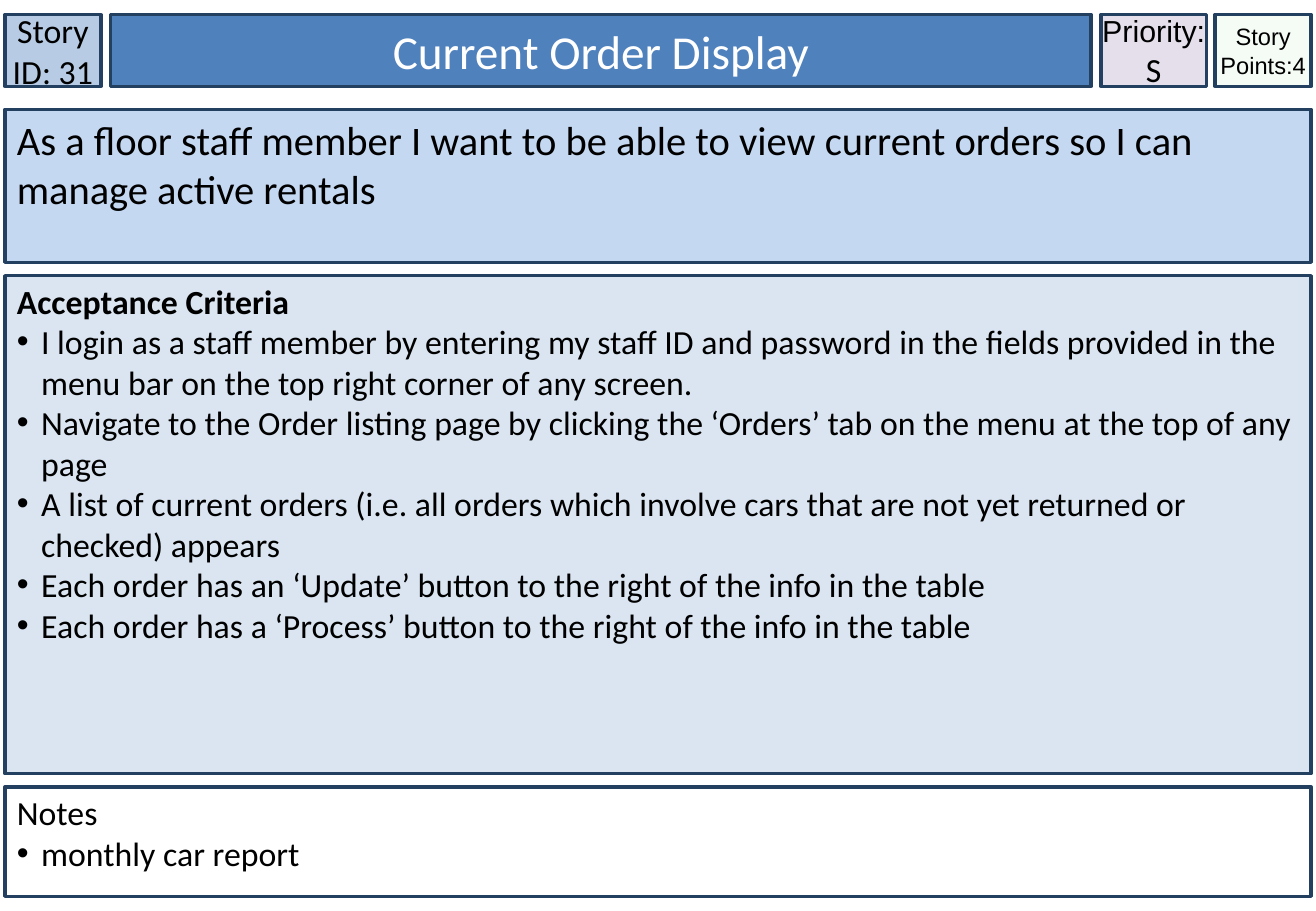
from lxml.etree import SubElement
from pptx import Presentation
from pptx.dml.color import RGBColor
from pptx.enum.shapes import MSO_SHAPE
from pptx.enum.text import MSO_ANCHOR, PP_ALIGN
from pptx.oxml.ns import qn
from pptx.util import Emu, Inches, Pt

THEME = {
    "border": "244061", "text": "000000", "title_text": "FFFFFF",
    "id": "B7CCE4", "title": "4F81BD", "priority": "E5DFEC", "points": "CCF0CD",
    "story": "C5D8F1", "criteria": "DAE5F1", "notes": "FFFFFF",
    "title_size": 28, "story_size": 24, "body_size": 20,
    "label_size": 18, "points_size": 14, "border_width": 2,
    "body_font": "Calibri", "label_font": "Arial",
}
WIDTH, HEIGHT = 10.83, 7.5
MARGIN = 0.04
FULL_WIDTH = WIDTH - 2 * MARGIN
HEADER_TOP, HEADER_HEIGHT = 0.12, 0.59
BULLET_INDENT = Inches(0.2)


def add_panel(left, top, width, height, fill, insets, anchor=MSO_ANCHOR.TOP):
    """Add a bordered rectangle; insets are its side and top text margins."""
    shape = slide.shapes.add_shape(
        MSO_SHAPE.RECTANGLE, Inches(left), Inches(top), Inches(width), Inches(height))
    shape.shadow.inherit = False
    shape.fill.solid()
    shape.fill.fore_color.rgb = RGBColor.from_string(THEME[fill])
    shape.line.color.rgb = RGBColor.from_string(THEME["border"])
    shape.line.width = Pt(THEME["border_width"])
    frame = shape.text_frame
    frame.word_wrap = True
    frame.vertical_anchor = anchor
    frame.margin_left = frame.margin_right = Inches(insets[0])
    frame.margin_top, frame.margin_bottom = Inches(insets[1]), Inches(0.05)
    return shape


def add_run(paragraph, text, size, font="body_font", color="text", bold=False):
    run = paragraph.add_run()
    run.text = text
    run.font.name = THEME[font]
    run.font.size = Pt(THEME[size])
    run.font.bold = bold
    run.font.color.rgb = RGBColor.from_string(THEME[color])


presentation = Presentation()
presentation.slide_width, presentation.slide_height = Inches(WIDTH), Inches(HEIGHT)
slide = presentation.slides.add_slide(presentation.slide_layouts[6])

# Header row: left, width, fill, side inset, runs
header_cells = [
    (MARGIN, 0.79, "id", 0, [("Story ID: 31", "body_size")]),
    (0.91, 8.07, "title", 0.1,
     [("Current Order Display", "title_size", "body_font", "title_text")]),
    (10, 0.79, "points", 0, [("Story Points:4", "points_size", "label_font")]),
    (9.06, 0.87, "priority", 0,
     [("Priority:", "label_size", "label_font"), ("S", "body_size")]),
]
for left, width, fill, side_inset, runs in header_cells:
    shape = add_panel(left, HEADER_TOP, width, HEADER_HEIGHT, fill,
                      (side_inset, 0.05), MSO_ANCHOR.MIDDLE)
    paragraph = shape.text_frame.paragraphs[0]
    paragraph.alignment = PP_ALIGN.CENTER
    for run in runs:
        add_run(paragraph, *run)
    if fill == "points":
        color = shape.fill._xPr.find(qn("a:solidFill"))[0]
        SubElement(color, qn("a:alpha"), val="20000")

# Full-width panels: top, height, fill, top inset, size, bold heading, heading, bullets
panels = [
    (0.9, 1.26, "story", 0.05, "story_size", False,
     "As a floor staff member I want to be able to view current orders "
     "so I can manage active rentals", []),
    (2.27, 4.1, "criteria", 0.04, "body_size", True, "Acceptance Criteria", [
        "I login as a staff member by entering my staff ID and password in the fields "
        "provided in the menu bar on the top right corner of any screen.",
        "Navigate to the Order listing page by clicking the ‘Orders’ tab on the menu "
        "at the top of any page",
        "A list of current orders (i.e. all orders which involve cars that are not yet "
        "returned or checked) appears",
        "Each order has an ‘Update’ button to the right of the info in the table",
        "Each order has a ‘Process’ button to the right of the info in the table",
    ]),
    (6.48, 0.9, "notes", 0.04, "body_size", False, "Notes", ["monthly car report"]),
]
for top, height, fill, top_inset, size, bold, heading, bullets in panels:
    shape = add_panel(MARGIN, top, FULL_WIDTH, height, fill, (0.1, top_inset))
    paragraph = shape.text_frame.paragraphs[0]
    paragraph.alignment = PP_ALIGN.LEFT
    add_run(paragraph, heading, size, bold=bold)
    for bullet in bullets:
        paragraph = shape.text_frame.add_paragraph()
        paragraph.alignment = PP_ALIGN.LEFT
        properties = paragraph._p.get_or_add_pPr()
        properties.set("marL", str(BULLET_INDENT))
        properties.set("indent", str(-BULLET_INDENT))
        bullet_color = SubElement(properties, qn("a:buClr"))
        SubElement(bullet_color, qn("a:srgbClr"), val=THEME["text"])
        SubElement(properties, qn("a:buFont"), typeface=THEME["label_font"])
        SubElement(properties, qn("a:buChar"), char="•")
        add_run(paragraph, bullet, size)

presentation.save("out.pptx")
